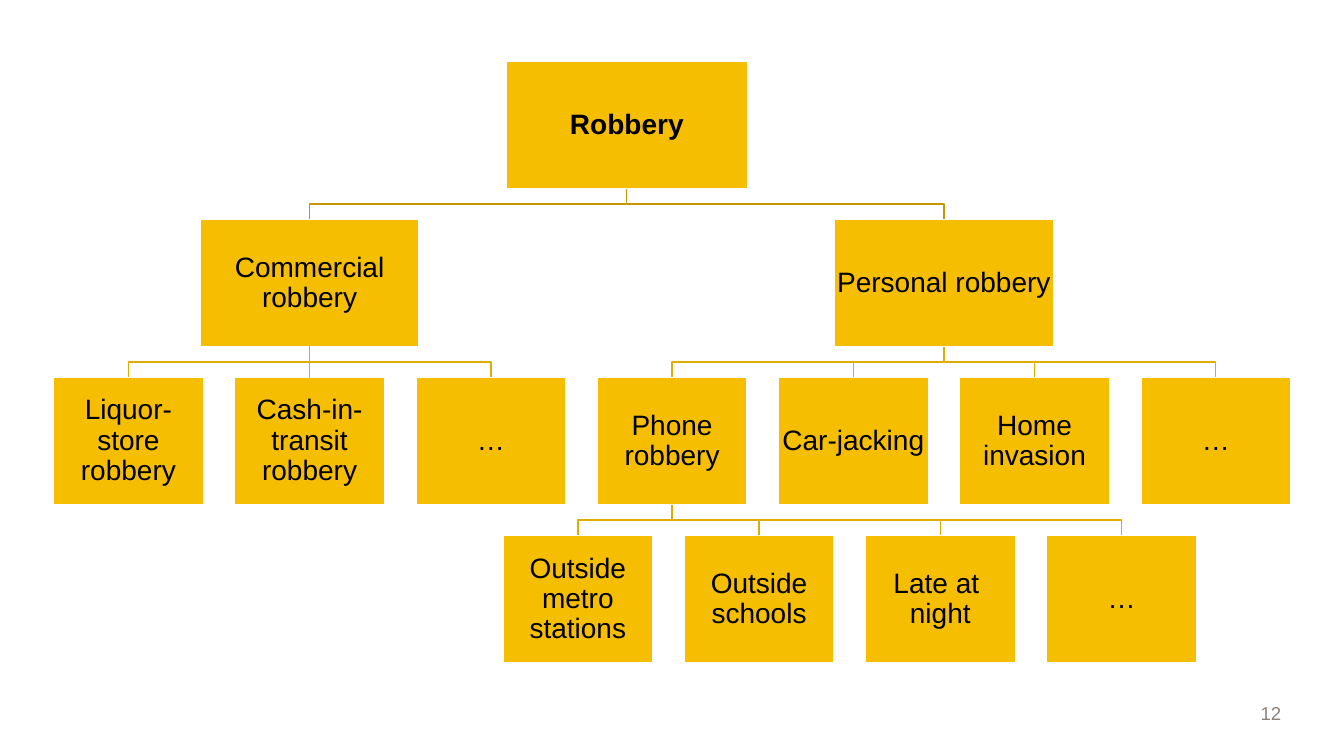
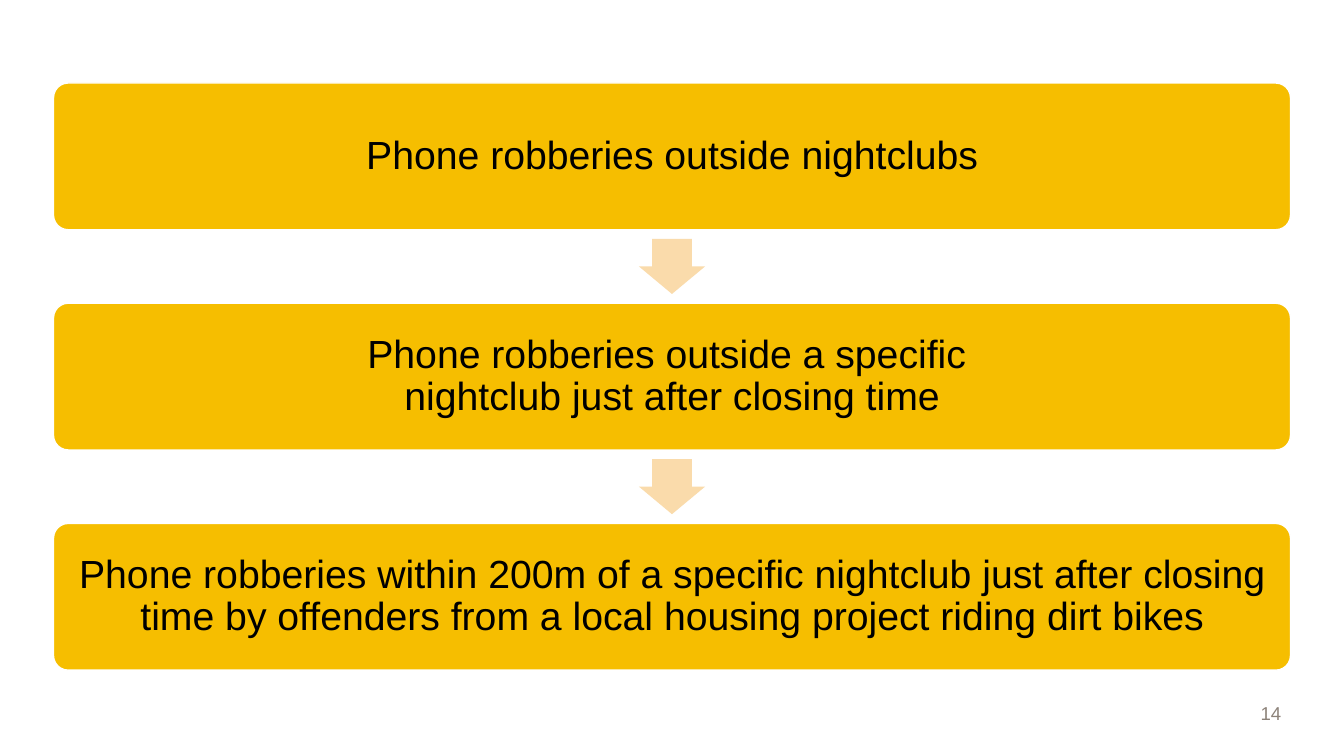
import pptx
import pptx.dml.color
import pptx.enum.shapes
import pptx.enum.text
import pptx.oxml
import pptx.util

Pt = pptx.util.Pt
RGBColor = pptx.dml.color.RGBColor
SHAPE = pptx.enum.shapes.MSO_SHAPE
CONNECTOR = pptx.enum.shapes.MSO_CONNECTOR
ANCHOR = pptx.enum.text.MSO_ANCHOR
ALIGN = pptx.enum.text.PP_ALIGN

GOLD = RGBColor(0xF6, 0xBE, 0x00)
DARK_GOLD = RGBColor(0xC5, 0x98, 0x00)
MID_GOLD = RGBColor(0xDF, 0xAC, 0x00)
PEACH = RGBColor(0xFA, 0xDB, 0xAB)
GREY = RGBColor(0x8C, 0x82, 0x79)
WHITE = RGBColor(0xFF, 0xFF, 0xFF)
BLACK = RGBColor(0x00, 0x00, 0x00)
FONT = "Arial"

SLIDE_W, SLIDE_H = 960, 540
MARGIN = 38.2

TREE = ("Robbery", 2.75, [
    ("Commercial robbery", 1, [
        ("Liquor-store robbery", 0, []),
        ("Cash-in-transit robbery", 1, []),
        ("…", 2, []),
    ]),
    ("Personal robbery", 4.5, [
        ("Phone robbery", 3, [
            ("Outside metro stations", 2.48, []),
            ("Outside schools", 3.48, []),
            ("Late at \nnight", 4.48, []),
            ("…", 5.48, []),
        ]),
        ("Car-jacking", 4, []),
        ("Home invasion", 5, []),
        ("…", 6, []),
    ]),
])
LEVEL_WIDTHS = [172.1, 156.2, 107.1, 107.1]
LEVEL_LINES = [DARK_GOLD, MID_GOLD, MID_GOLD]
TREE_TOP, LEVEL_PITCH, BOX_H = 44, 112.9, 90.6
FIRST_CENTRE, SLOT_PITCH = 91.75, 129.45

STEPS = [
    "Phone robberies outside nightclubs",
    "Phone robberies outside a specific \nnightclub just after closing time",
    "Phone robberies within 200m of a specific nightclub just after closing "
    "time by offenders from a local housing project riding dirt bikes",
]
STEP_TOP, STEP_PITCH, STEP_H = 59.3, 157.3, 104.8
ARROW_W, ARROW_H = 47.2, 39.3


def write(shape, text, size=20, color=BLACK, bold=False, align=ALIGN.CENTER,
          anchor=ANCHOR.MIDDLE, spacing=0.9, insets=(1, 1, 1, 1)):
    tf = shape.text_frame
    tf.word_wrap = True
    tf.vertical_anchor = anchor
    tf.margin_left, tf.margin_top, tf.margin_right, tf.margin_bottom = map(Pt, insets)
    p = tf.paragraphs[0]
    p.text = text
    p.alignment = align
    p.line_spacing = spacing
    for r in p.runs:
        r.font.name = FONT
        r.font.size = Pt(size)
        r.font.bold = bold
        r.font.color.rgb = color


def add_block(s, kind, x, y, w, h, fill=GOLD, line=WHITE):
    sp = s.shapes.add_shape(kind, Pt(x), Pt(y), Pt(w), Pt(h))
    sp.shadow.inherit = False
    sp.fill.solid()
    sp.fill.fore_color.rgb = fill
    if line is None:
        sp.line.fill.background()
    else:
        sp.line.color.rgb = line
        sp.line.width = Pt(1)
    return sp


def add_elbow(s, x1, y1, x2, y2, color):
    middle = (y1 + y2) / 2
    builder = s.shapes.build_freeform(Pt(x1), Pt(y1))
    builder.add_line_segments(
        [(Pt(x), Pt(y)) for x, y in ((x1, middle), (x2, middle), (x2, y2))],
        close=False)
    sp = builder.convert_to_shape()
    sp.shadow.inherit = False
    sp.fill.background()
    sp.line.color.rgb = color
    sp.line.width = Pt(1)


def join_boxes(s, upper, lower, color):
    c = s.shapes.add_connector(CONNECTOR.STRAIGHT, 0, 0, 0, 0)
    c.begin_connect(upper, 2)
    c.end_connect(lower, 0)
    c.line.color.rgb = color
    c.line.width = Pt(1)
    c._element.spPr.append(pptx.oxml.parse_xml(
        '<a:effectLst xmlns:a="http://schemas.openxmlformats.org/drawingml/2006/main"/>'))


def add_slide(prs, number):
    s = prs.slides.add_slide(prs.slide_layouts[6])
    box = s.shapes.add_textbox(Pt(846.7), Pt(478.8), Pt(75.6), Pt(41.8))
    write(box, number, size=13.3, color=GREY, align=ALIGN.RIGHT,
          anchor=ANCHOR.BOTTOM, spacing=1.0, insets=(9.4, 3.6, 7.2, 3.6))
    return s


def slot_centre(slot):
    return FIRST_CENTRE + slot * SLOT_PITCH


def add_branch(s, node, level=0):
    text, slot, children = node
    centre = slot_centre(slot)
    top = TREE_TOP + level * LEVEL_PITCH
    width = LEVEL_WIDTHS[level]
    for _, child_slot, _ in children:
        if child_slot != slot:
            add_elbow(s, centre, top + BOX_H, slot_centre(child_slot),
                      top + LEVEL_PITCH, LEVEL_LINES[level])
    box = add_block(s, SHAPE.RECTANGLE, centre - width / 2, top, width, BOX_H)
    write(box, text, bold=level == 0)
    for child in children:
        child_box = add_branch(s, child, level + 1)
        if child[1] == slot:
            join_boxes(s, box, child_box, LEVEL_LINES[level])
    return box


def add_steps(s):
    gap = STEP_PITCH - STEP_H
    for i, text in enumerate(STEPS):
        top = STEP_TOP + i * STEP_PITCH
        step = add_block(s, SHAPE.ROUNDED_RECTANGLE, MARGIN, top,
                         SLIDE_W - 2 * MARGIN, STEP_H)
        step.adjustments[0] = 0.1
        write(step, text, size=28, insets=(8.6, 8.6, 8.6, 8.6))
        if i:
            arrow = add_block(s, SHAPE.DOWN_ARROW, (SLIDE_W - ARROW_W) / 2,
                              top - (gap + ARROW_H) / 2, ARROW_W, ARROW_H,
                              fill=PEACH, line=None)
            arrow.adjustments[0] = 0.6
            arrow.adjustments[1] = 0.5


def main():
    prs = pptx.Presentation()
    prs.slide_width, prs.slide_height = Pt(SLIDE_W), Pt(SLIDE_H)
    add_branch(add_slide(prs, "12"), TREE)
    add_steps(add_slide(prs, "14"))
    prs.save("out.pptx")


if __name__ == "__main__":
    main()
